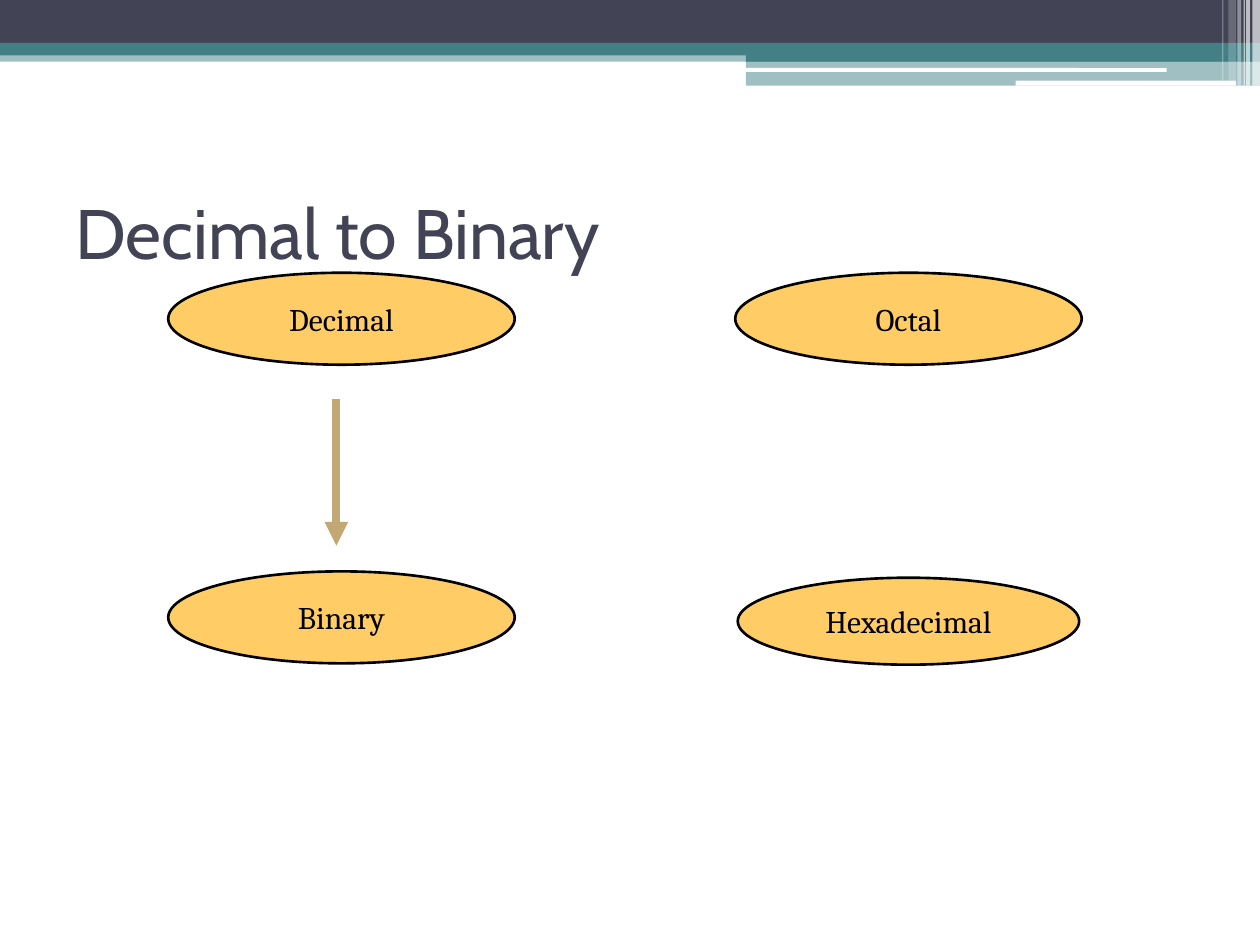
from lxml import etree
from pptx import Presentation
from pptx.dml.color import RGBColor
from pptx.enum.shapes import MSO_CONNECTOR as Connector, MSO_SHAPE as Shape
from pptx.enum.text import MSO_ANCHOR as Anchor, PP_ALIGN as Align
from pptx.oxml.ns import qn
from pptx.util import Inches, Pt

NAVY = RGBColor(0x42, 0x44, 0x56)
TEAL = RGBColor(0x43, 0x80, 0x86)
WHITE = RGBColor(0xFF, 0xFF, 0xFF)
BLACK = RGBColor(0x00, 0x00, 0x00)
AMBER = RGBColor(0xFF, 0xCC, 0x66)
SAND = RGBColor(0xC2, 0xA8, 0x74)

COLUMNS, ROWS = 10, 7.5  # grid of one-inch cells

# left, top, width, height, colour, opacity in percent
BANDS = [
    (0, 0.4, 10, 0.09, TEAL, 50),
    (0, 0, 10, 0.34, NAVY, 100),
    (0, 0.34, 10, 0.1, TEAL, 100),
    (5.92, 0.39, 4.08, 0.1, TEAL, 100),
    (5.92, 0.48, 4.08, 0.2, TEAL, 50),
]
ROUNDED_BARS = [(5.91, 0.54, 3.35, 0.03), (8.06, 0.64, 1.75, 0.04)]
# left, width, height, opacity in percent
STRIPES = [
    (9.94, 0.06, 0.68, 65),
    (9.89, 0.03, 0.68, 65),
    (9.87, 0.01, 0.68, 60),
    (9.82, 0.03, 0.68, 40),
    (9.75, 0.06, 0.64, 20),
    (9.7, 0.01, 0.64, 30),
]
# label, centre column, centre row, width, height
NUMBER_SYSTEMS = [
    ("Hexadecimal", 7.21, 4.93, 2.71, 0.69),
    ("Decimal", 2.71, 2.53, 2.75, 0.73),
    ("Octal", 7.21, 2.53, 2.75, 0.73),
    ("Binary", 2.71, 4.9, 2.75, 0.73),
]


def apply(target, values):
    for name, value in values.items():
        setattr(target, name, value)


class SlideBuilder:
    title_font = {"name": "Cabin", "size": Pt(40), "bold": False}
    label_font = {"name": "Cambria", "size": Pt(18)}

    def __init__(self, deck):
        self.page = deck.slides.add_slide(deck.slide_layouts[5])
        self.shapes = self.page.shapes
        self.column = deck.slide_width / COLUMNS
        self.row = deck.slide_height / ROWS

    def cells(self, left, top, width, height):
        """Turn columns and rows into slide lengths."""
        return (int(left * self.column), int(top * self.row),
                int(width * self.column), int(height * self.row))

    def add_text(self, shape, text, font, color, align):
        para = shape.text_frame.paragraphs[0]
        para.alignment = align
        span = para.add_run()
        span.text = text
        apply(span.font, font)
        span.font.color.rgb = color

    def title(self, text, *place):
        box = self.shapes.title
        apply(box, dict(zip(("left", "top", "width", "height"), self.cells(*place))))
        apply(box.text_frame, {"vertical_anchor": Anchor.MIDDLE, "word_wrap": True})
        self.add_text(box, text, self.title_font, NAVY, Align.LEFT)

    def block(self, kind, place, color, opacity=100):
        shape = self.shapes.add_shape(kind, *self.cells(*place))
        shape.shadow.inherit = False
        shape.fill.solid()
        shape.fill.fore_color.rgb = color
        shape.line.fill.background()
        if opacity < 100:
            tint = shape._element.spPr.find(qn("a:solidFill")).find(qn("a:srgbClr"))
            etree.SubElement(tint, qn("a:alpha")).set("val", str(opacity * 1000))
        return shape

    def ellipse(self, label, center_x, center_y, width, height):
        place = (center_x - width / 2, center_y - height / 2, width, height)
        shape = self.block(Shape.OVAL, place, AMBER)
        shape.line.color.rgb = BLACK
        shape.line.width = Pt(1.5)
        apply(shape.text_frame, {"vertical_anchor": Anchor.MIDDLE, "word_wrap": False})
        self.add_text(shape, label, self.label_font, BLACK, Align.CENTER)

    def arrow(self, *ends):
        connector = self.shapes.add_connector(Connector.STRAIGHT, *self.cells(*ends))
        connector.line.color.rgb = SAND
        connector.line.width = Pt(4.5)
        properties = connector._element.spPr
        outline = properties.find(qn("a:ln"))
        etree.SubElement(outline, qn("a:tailEnd")).set("type", "triangle")
        etree.SubElement(properties, qn("a:effectLst"))


def main():
    deck = Presentation()
    deck.slide_width, deck.slide_height = Inches(COLUMNS), Inches(ROWS)
    slide = SlideBuilder(deck)

    for *place, color, opacity in BANDS:
        slide.block(Shape.RECTANGLE, place, color, opacity)
    for place in ROUNDED_BARS:
        slide.block(Shape.ROUNDED_RECTANGLE, place, WHITE)
    for left, width, height, opacity in STRIPES:
        slide.block(Shape.RECTANGLE, (left, 0, width, height), WHITE, opacity)

    slide.title("Decimal to Binary", 0.5, 1.25, 9, 1.17)
    for system in NUMBER_SYSTEMS:
        slide.ellipse(*system)
    slide.arrow(2.67, 3.17, 2.67, 4.33)
    deck.save("out.pptx")


if __name__ == "__main__":
    main()
